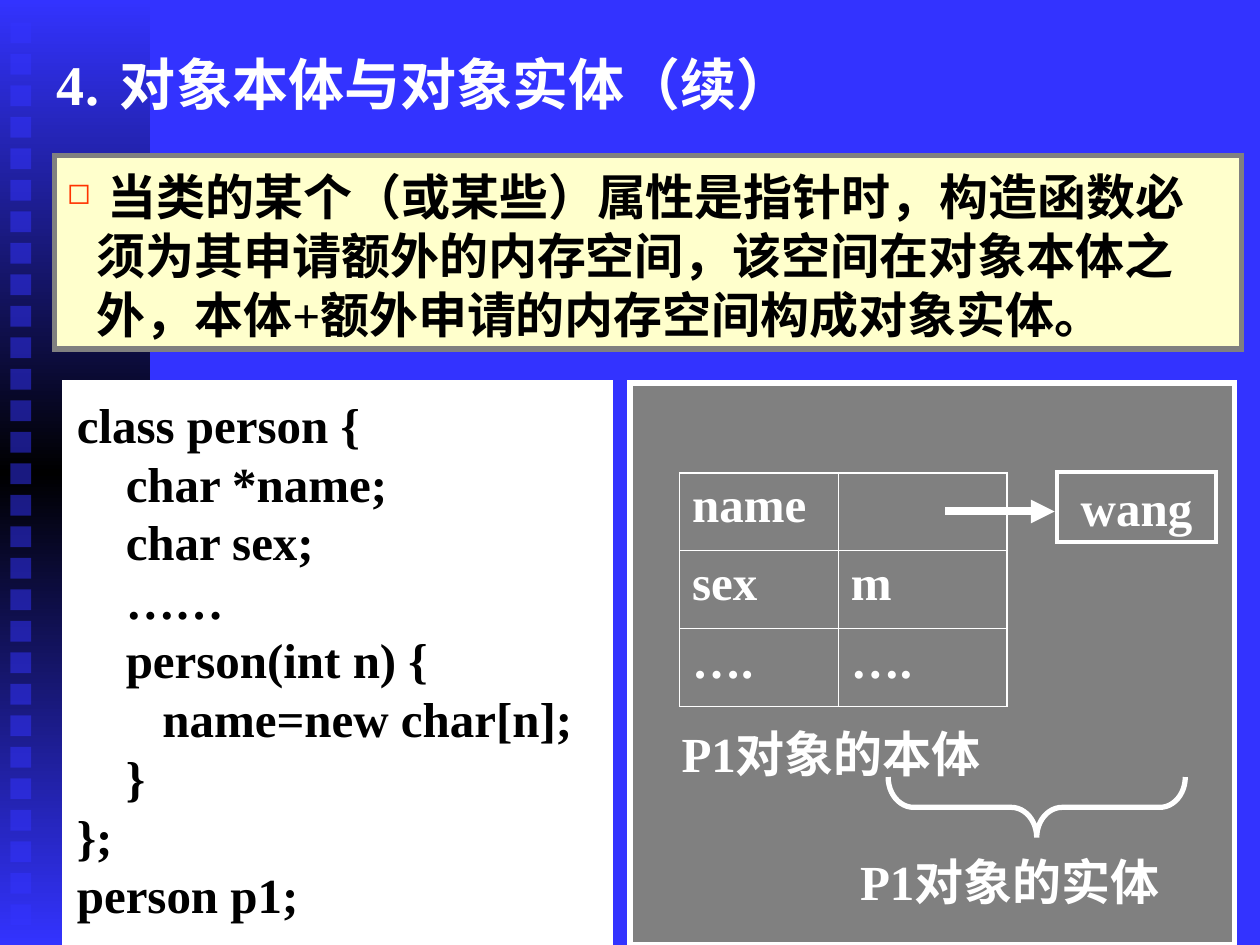
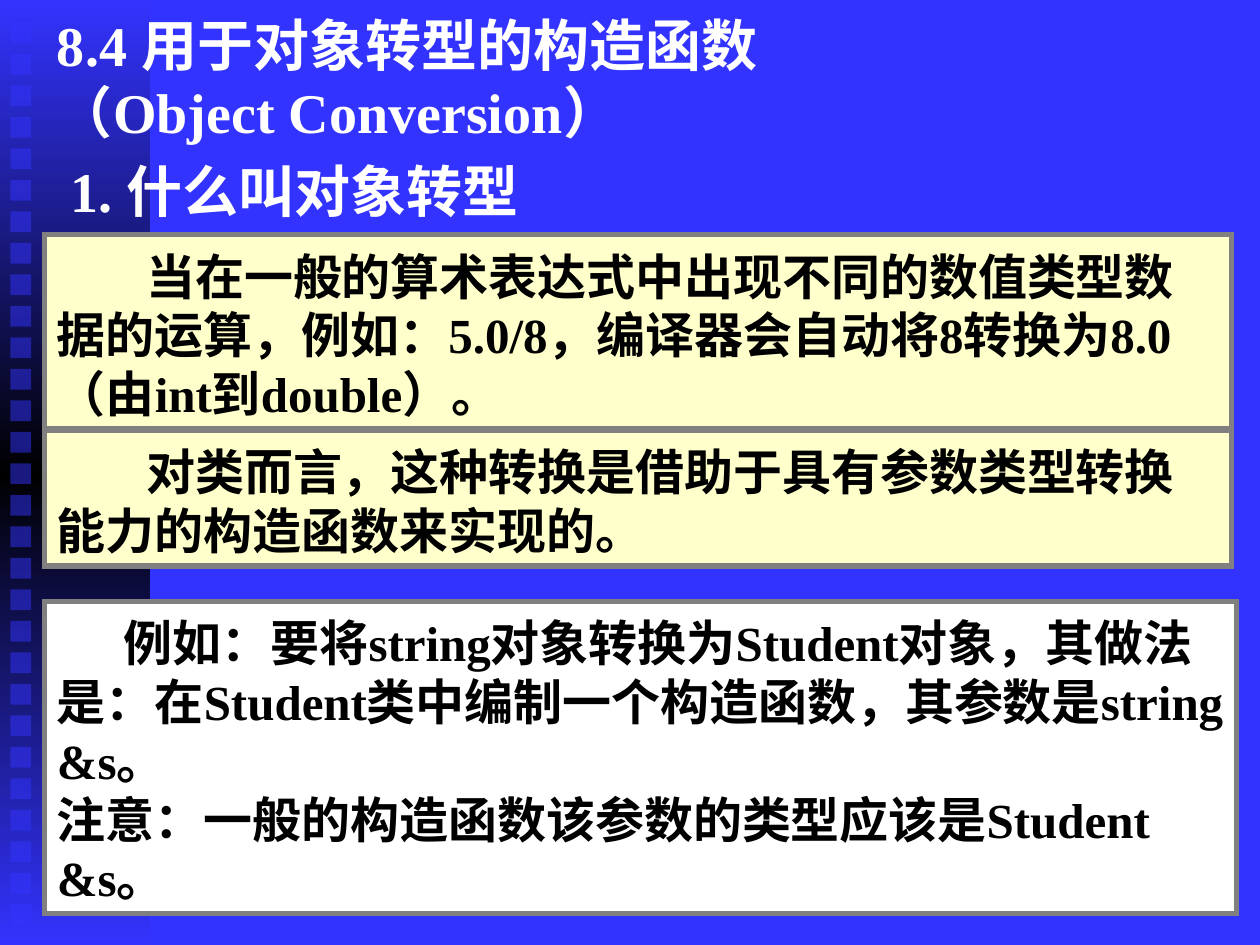
from copy import deepcopy

from lxml import etree
from pptx import Presentation
from pptx import util as u
from pptx.dml.color import RGBColor
from pptx.enum import lang, shapes, text
from pptx.oxml.ns import qn

COLORS = {
    "blue": "3333FF", "black": "000000", "white": "FFFFFF",
    "gray": "808080", "cream": "FFFFCC", "red": "FF3300",
}
FONT = "Times New Roman"
TITLE_SIZE, BODY_SIZE = 32, 28
LEFT, PANEL_WIDTH = 0.9, 23.93
SQUARES, FIRST_SQUARE, LAST_SQUARE = 29, 0.45, 18.23

CODE = """class person {
    char *name;
    char sex;
    ……
    person(int n) {
       name=new char[n];
    }
};
person p1;""".split("\n")


def rgb(name):
    return RGBColor.from_string(COLORS[name])


def sub(parent, tag, **attributes):
    child = etree.SubElement(parent, qn(tag))
    for key, value in attributes.items():
        child.set(key, str(value))
    return child


def write(frame, paragraphs, size=BODY_SIZE, color="white", align=None, anchor="TOP",
          top=0.13, wrap=True, first_indents=(), hanging=0, bullet=None, tab=None):
    """Fill a text frame; first_indents lists the first-line indent of each paragraph in cm."""
    frame.word_wrap = wrap
    frame.auto_size = text.MSO_AUTO_SIZE.NONE
    frame.vertical_anchor = text.MSO_ANCHOR[anchor]
    frame.margin_left = frame.margin_right = u.Cm(0.25)
    frame.margin_top, frame.margin_bottom = u.Cm(top), u.Cm(0.13)
    for index, words in enumerate(paragraphs):
        paragraph = frame.add_paragraph() if index else frame.paragraphs[0]
        paragraph.alignment = text.PP_ALIGN[align or "LEFT"]
        properties = paragraph._p.get_or_add_pPr()
        indent = first_indents[index] if index < len(first_indents) else -hanging
        properties.set("marL", str(u.Cm(hanging)))
        properties.set("indent", str(u.Cm(indent)))
        properties.set("hangingPunct", "0")  # keep line-end punctuation inside the box
        if bullet:
            sub(sub(properties, "a:buClr"), "a:srgbClr", val=COLORS["red"])
            sub(properties, "a:buSzPct", val=60000)
            sub(properties, "a:buChar", char=bullet)
        if tab:
            sub(sub(properties, "a:tabLst"), "a:tab", pos=u.Cm(tab), algn="l")
        run = paragraph.add_run()
        run.text = words
        font = run.font
        font.name, font.size, font.bold = FONT, u.Pt(size), True
        font.color.rgb = rgb(color)
        font.language_id = lang.MSO_LANGUAGE_ID.SIMPLIFIED_CHINESE


class Deck:
    def __init__(self):
        self.show = Presentation()
        self.show.slide_width, self.show.slide_height = u.Cm(25.4), u.Cm(19.05)
        self.slide = None

    def new_slide(self):
        self.slide = self.show.slides.add_slide(self.show.slide_layouts[6])
        background = self.slide.background.fill
        background.solid()
        background.fore_color.rgb = rgb("blue")
        self.side_band()

    def side_band(self):
        band = self.shape(0, 0, 3.02, 19.05)
        band.fill.gradient()
        band.fill.gradient_angle = 90
        for stop, color, position in zip(band.fill.gradient_stops, ("blue", "black"), (0, 0.5)):
            stop.color.rgb, stop.position = rgb(color), position
        stops = band._element.spPr.find(qn("a:gradFill")).find(qn("a:gsLst"))
        last = deepcopy(stops[0])
        last.set("pos", "100000")
        stops.append(last)
        pitch = (LAST_SQUARE - FIRST_SQUARE) / (SQUARES - 1)
        for row in range(SQUARES):
            square = self.shape(0.21, FIRST_SQUARE + row * pitch, 0.42, 0.42, fill="blue")
            sub(next(square._element.spPr.iter(qn("a:srgbClr"))), "a:alpha", val=50000)

    def shape(self, x, y, w, h, kind="RECTANGLE", fill=None, line=None, weight=3):
        shape = self.slide.shapes.add_shape(
            shapes.MSO_SHAPE[kind], u.Cm(x), u.Cm(y), u.Cm(w), u.Cm(h))
        shape.shadow.inherit = False
        if fill:
            shape.fill.solid()
            shape.fill.fore_color.rgb = rgb(fill)
        else:
            shape.fill.background()
        if line:
            shape.line.color.rgb, shape.line.width = rgb(line), u.Pt(weight)
            sub(shape.line._get_or_add_ln(), "a:miter", lim=800000)
        else:
            shape.line.fill.background()
        return shape

    def panel(self, y, h, paragraphs, x=LEFT, w=PANEL_WIDTH, fill="cream", line="gray", **style):
        box = self.shape(x, y, w, h, fill=fill, line=line)
        write(box.text_frame, paragraphs, color="black", top=0.23, **style)

    def label(self, x, y, w, h, *paragraphs, **style):
        box = self.slide.shapes.add_textbox(u.Cm(x), u.Cm(y), u.Cm(w), u.Cm(h))
        write(box.text_frame, paragraphs, **style)

    def title(self, y, *lines, **style):
        self.label(LEFT, y, 23.8, 2.31, *lines, size=TITLE_SIZE, anchor="MIDDLE", **style)

    def arrow(self, x1, y1, x2, y2):
        line = self.slide.shapes.add_connector(
            shapes.MSO_CONNECTOR.STRAIGHT, u.Cm(x1), u.Cm(y1), u.Cm(x2), u.Cm(y2))
        line.line.color.rgb, line.line.width = rgb("white"), u.Pt(4.5)
        sub(line.line._get_or_add_ln(), "a:tailEnd", type="triangle")
        sub(line._element.spPr, "a:effectLst")

    def table(self, x, y, widths, row_height, rows):
        grid = self.slide.shapes.add_table(
            len(rows), len(widths), u.Cm(x), u.Cm(y),
            u.Cm(sum(widths)), u.Cm(row_height * len(rows))).table
        grid.first_row = grid.horz_banding = False
        for column, width in zip(grid.columns, widths):
            column.width = u.Cm(width)
        for r, row in enumerate(rows):
            grid.rows[r].height = u.Cm(row_height)
            for c, words in enumerate(row):
                cell = grid.cell(r, c)
                outer = {"L": c == 0, "R": c == len(row) - 1,
                         "T": r == 0, "B": r == len(rows) - 1}
                properties = cell._tc.get_or_add_tcPr()
                for side, on_edge in outer.items():
                    border = sub(properties, f"a:ln{side}", w=u.Pt(1.08 if on_edge else 0.45))
                    sub(sub(border, "a:solidFill"), "a:srgbClr", val=COLORS["white"])
                cell.fill.background()
                if words:
                    write(cell.text_frame, [words])


def object_body_slide(deck):
    deck.new_slide()
    deck.shape(12.7, 7.72, 12.19, 11.33, fill="gray", line="white")
    deck.label(13.49, 14.45, 7.01, 1.45, "P1对象的本体")
    brace = deck.shape(20.29, 13.28, 1.22, 5.99, kind="LEFT_BRACE", line="white")
    brace.rotation = 270
    brace.adjustments[0] = 0.42
    deck.label(17.09, 17.04, 7.01, 1.45, "P1对象的实体")
    deck.panel(7.72, 11.33, CODE, x=1.3, w=11, fill="white", line="white")
    deck.panel(3.13, 3.91, [
        " 当类的某个（或某些）属性是指针时，构造函数必须为其申请额外的内存空间，"
        "该空间在对象本体之外，本体+额外申请的内存空间构成对象实体。",
    ], x=1.1, hanging=0.6, bullet="◻")
    deck.table(13.7, 9.53, (3.2, 3.4), 1.57, [("name", ""), ("sex", "m"), ("….", "….")])
    deck.title(0.53, "4.\t对象本体与对象实体（续）", tab=2.12)
    heap_box = deck.shape(21.31, 9.52, 3.2, 1.4, line="white", weight=2.25)
    write(heap_box.text_frame, ["wang"], align="CENTER", anchor="MIDDLE", wrap=False)
    deck.arrow(19.05, 10.31, 21.26, 10.31)


def conversion_slide(deck):
    deck.new_slide()
    deck.label(1.17, 2.92, 23.93, 1.7, "1. 什么叫对象转型", size=TITLE_SIZE, top=0.23)
    deck.panel(4.73, 3.91, [
        "当在一般的算术表达式中出现不同的数值类型数据的运算，例如：5.0/8，"
        "编译器会自动将8转换为8.0（由int到double）。",
    ], first_indents=[1.8])
    deck.title(0.41, "8.4 用于对象转型的构造函数", "（Object Conversion）")
    deck.panel(8.67, 2.74, [
        "对类而言，这种转换是借助于具有参数类型转换能力的构造函数来实现的。",
    ], first_indents=[1.8])
    deck.panel(12.12, 6.3, [
        "例如：要将string对象转换为Student对象，其做法是："
        "在Student类中编制一个构造函数，其参数是string &s。",
        "注意：一般的构造函数该参数的类型应该是Student &s。",
    ], w=24.03, fill="white", first_indents=[1.35])


def main():
    deck = Deck()
    object_body_slide(deck)
    conversion_slide(deck)
    deck.show.save("out.pptx")


if __name__ == "__main__":
    main()
